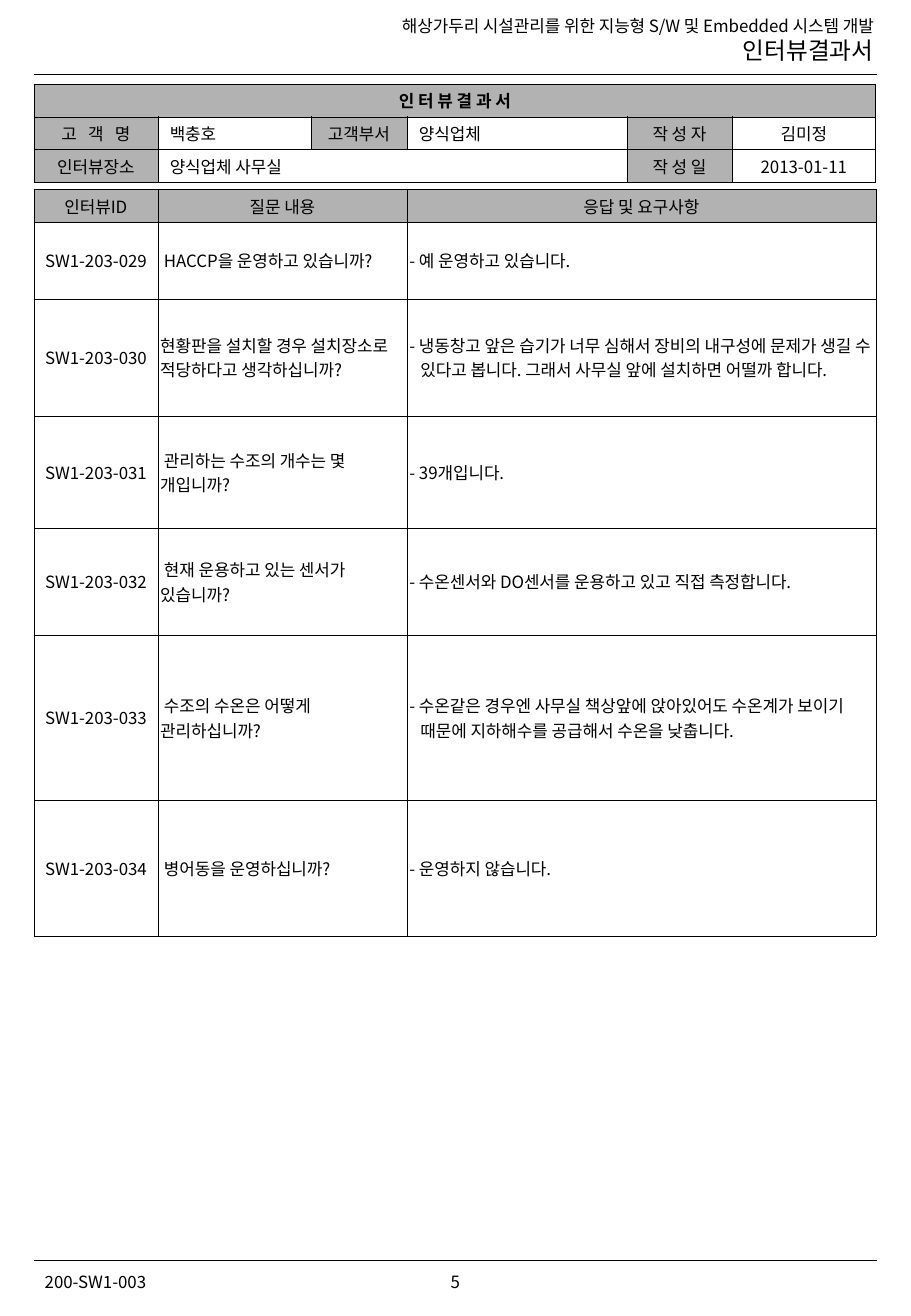
from lxml.etree import SubElement
from pptx import Presentation
from pptx.dml.color import RGBColor
from pptx.enum.shapes import MSO_CONNECTOR as Connector
from pptx.enum.text import MSO_ANCHOR as Anchor, PP_ALIGN as Align
from pptx.oxml.ns import qn
from pptx.util import Cm, Pt

FONT = "Noto Sans CJK KR"
BLACK = RGBColor(0x00, 0x00, 0x00)
GRAY = RGBColor(0xB2, 0xB2, 0xB2)

PAGE_SIZE = (19.05, 27.53)
LEFT, RIGHT = 0.71, 18.34
RULES = [1.55, 26.37]

HEADINGS = [("해상가두리 시설관리를 위한 지능형 S/W 및 Embedded 시스템 개발", 10),
            ("인터뷰결과서", 14)]
DOCUMENT_CODE = "200-SW1-003"
PAGE_NUMBER = "5"

INFO_TOP = 1.75
INFO_COLUMNS = [2.59, 3.2, 2.01, 4.6, 2.2, 3.0]
INFO_ROWS = [0.69] * 3
INFO = [
    ["인 터 뷰 결 과 서", None, None, None, None, None],
    ["고 객 명", "백충호", "고객부서", "양식업체", "작 성 자", "김미정"],
    ["인터뷰장소", "양식업체 사무실", None, None, "작 성 일", "2013-01-11"],
]
INFO_SPANS = [(0, 0, 5), (2, 1, 3)]
WIDE_LABEL = "고 객 명"

DETAIL_TOP = 3.96
DETAIL_COLUMNS = [2.59, 5.21, 9.8]
DETAIL_ROWS = [0.69, 1.6, 2.46, 2.34, 2.24, 3.45, 2.84]
DETAIL = [
    ["인터뷰ID", "질문 내용", "응답 및 요구사항"],
    ["SW1-203-029", " HACCP을 운영하고 있습니까?", "- 예 운영하고 있습니다."],
    ["SW1-203-030", "현황판을 설치할 경우 설치장소로 적당하다고 생각하십니까?",
     "- 냉동창고 앞은 습기가 너무 심해서 장비의 내구성에 문제가 생길 수 있다고 봅니다. "
     "그래서 사무실 앞에 설치하면 어떨까 합니다."],
    ["SW1-203-031", " 관리하는 수조의 개수는 몇 개입니까?", "- 39개입니다."],
    ["SW1-203-032", " 현재 운용하고 있는 센서가 있습니까?",
     "- 수온센서와 DO센서를 운용하고 있고 직접 측정합니다."],
    ["SW1-203-033", " 수조의 수온은 어떻게 관리하십니까?",
     "- 수온같은 경우엔 사무실 책상앞에 앉아있어도 수온계가 보이기 때문에 "
     "지하해수를 공급해서 수온을 낮춥니다."],
    ["SW1-203-034", " 병어동을 운영하십니까?", "- 운영하지 않습니다."],
]
HANGING = 0.23


def write(para, text, align, size=10, bold=False, before=0):
    para.alignment = align
    para.space_before = Pt(before)
    span = para.add_run()
    span.text = text
    font = span.font
    font.name, font.size, font.bold = FONT, Pt(size), bold
    font.color.rgb = BLACK
    properties = font._element
    SubElement(properties, qn("a:ea")).set("typeface", FONT)
    return span


def add_text(page, place, lines, align, wrap, margins=(0.25, 0.13), anchor=Anchor.TOP, before=0):
    frame = page.shapes.add_textbox(*map(Cm, place)).text_frame
    frame.word_wrap = wrap
    frame.vertical_anchor = anchor
    frame.margin_left = frame.margin_right = Cm(margins[0])
    frame.margin_top = frame.margin_bottom = Cm(margins[1])
    for index, (text, size) in enumerate(lines):
        para = frame.add_paragraph() if index else frame.paragraphs[0]
        write(para, text, align, size, before=before)


def add_rule(page, y):
    rule = page.shapes.add_connector(Connector.STRAIGHT, Cm(LEFT), Cm(y), Cm(RIGHT), Cm(y))
    rule.line.color.rgb = BLACK
    rule.line.width = Pt(0.25)
    SubElement(rule._element.spPr, qn("a:effectLst"))


def style_cell(cell, shaded, side_margin):
    cell.vertical_anchor = Anchor.MIDDLE
    cell.margin_left = cell.margin_right = Cm(side_margin)
    cell.margin_top = cell.margin_bottom = Cm(0)
    properties = cell._tc.get_or_add_tcPr()
    for side in ("lnL", "lnR", "lnT", "lnB"):
        border = SubElement(properties, qn("a:" + side), w=str(Pt(0.11)))
        fill = SubElement(border, qn("a:solidFill"))
        SubElement(fill, qn("a:srgbClr"), val=str(BLACK))
    if shaded:
        cell.fill.solid()
        cell.fill.fore_color.rgb = GRAY
    else:
        cell.fill.background()


def add_grid(page, top, columns, rows):
    place = (LEFT, top, sum(columns), sum(rows))
    table = page.shapes.add_table(len(rows), len(columns), *map(Cm, place)).table
    table.first_row = table.horz_banding = False
    for column, width in zip(table.columns, columns):
        column.width = Cm(width)
    for row, height in zip(table.rows, rows):
        row.height = Cm(height)
    return table


def add_detail(page):
    table = add_grid(page, DETAIL_TOP, DETAIL_COLUMNS, DETAIL_ROWS)
    for r, texts in enumerate(DETAIL):
        for c, text in enumerate(texts):
            cell = table.cell(r, c)
            header = r == 0
            style_cell(cell, header, 0.05)
            para = cell.text_frame.paragraphs[0]
            write(para, text, Align.CENTER if header or c == 0 else Align.LEFT,
                  before=2.5 if header else 0)
            if c == 2 and not header:
                properties = para._p.get_or_add_pPr()
                properties.set("marL", str(Cm(HANGING)))
                properties.set("indent", str(-Cm(HANGING)))


def add_info(page):
    table = add_grid(page, INFO_TOP, INFO_COLUMNS, INFO_ROWS)
    for r, first, last in INFO_SPANS:
        table.cell(r, first).merge(table.cell(r, last))
    for r, texts in enumerate(INFO):
        for c, text in enumerate(texts):
            cell = table.cell(r, c)
            title = r == 0
            label = title or c % 2 == 0 and text is not None
            style_cell(cell, label, 0.25)
            if text is None:
                continue
            centred = label or c == len(texts) - 1
            span = write(cell.text_frame.paragraphs[0], text,
                         Align.CENTER if centred else Align.LEFT, bold=title, before=2.5)
            if text == WIDE_LABEL:
                span.font._element.set("spc", "225")


def main():
    deck = Presentation()
    deck.slide_width, deck.slide_height = map(Cm, PAGE_SIZE)
    page = deck.slides.add_slide(deck.slide_layouts[6])
    add_text(page, (LEFT, 0.2, 17.81, 1.27), HEADINGS, Align.RIGHT, True)
    add_text(page, (0.66, 26.47, 2.67, 0.69), [(DOCUMENT_CODE, 10)], Align.CENTER, False,
             before=2.5)
    for y in RULES:
        add_rule(page, y)
    add_text(page, (8.48, 26.26, 2.08, 1.12), [(PAGE_NUMBER, 10)], Align.CENTER, False,
             margins=(0, 0), anchor=Anchor.MIDDLE)
    add_detail(page)
    add_info(page)
    deck.save("out.pptx")


if __name__ == "__main__":
    main()
